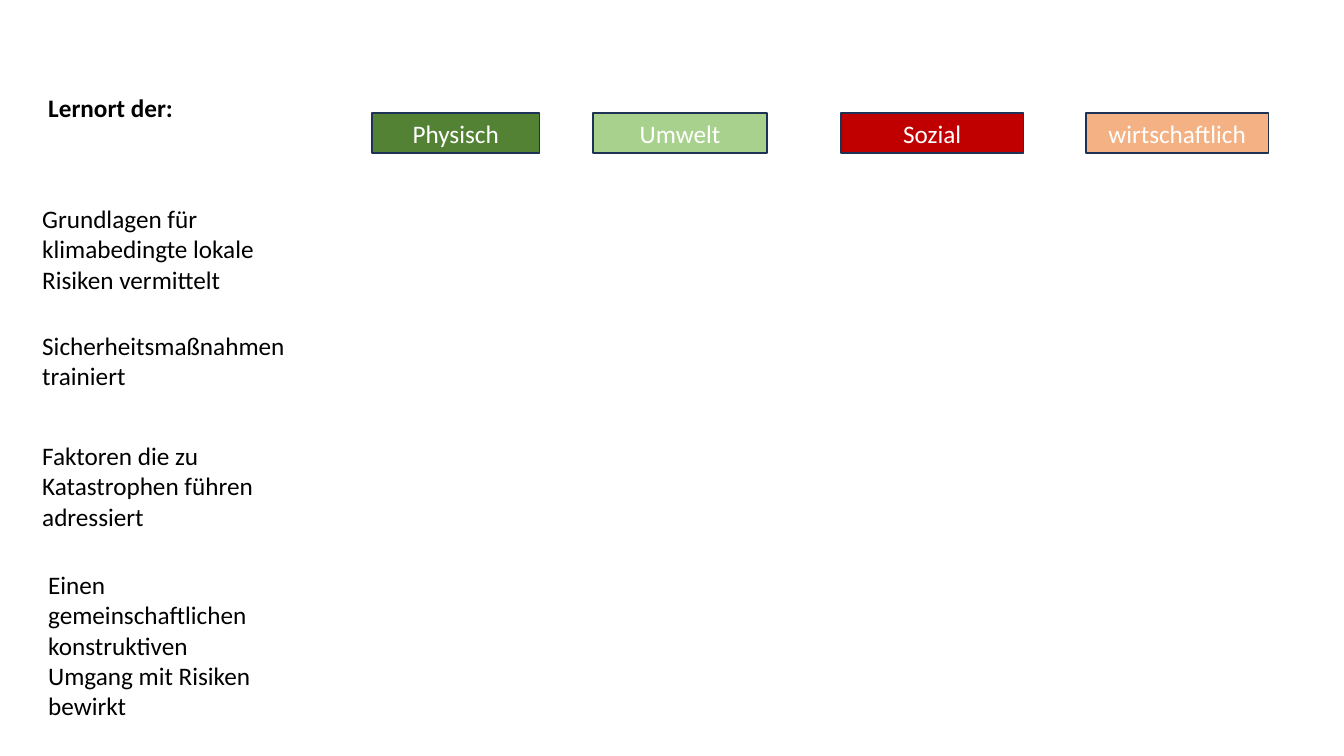
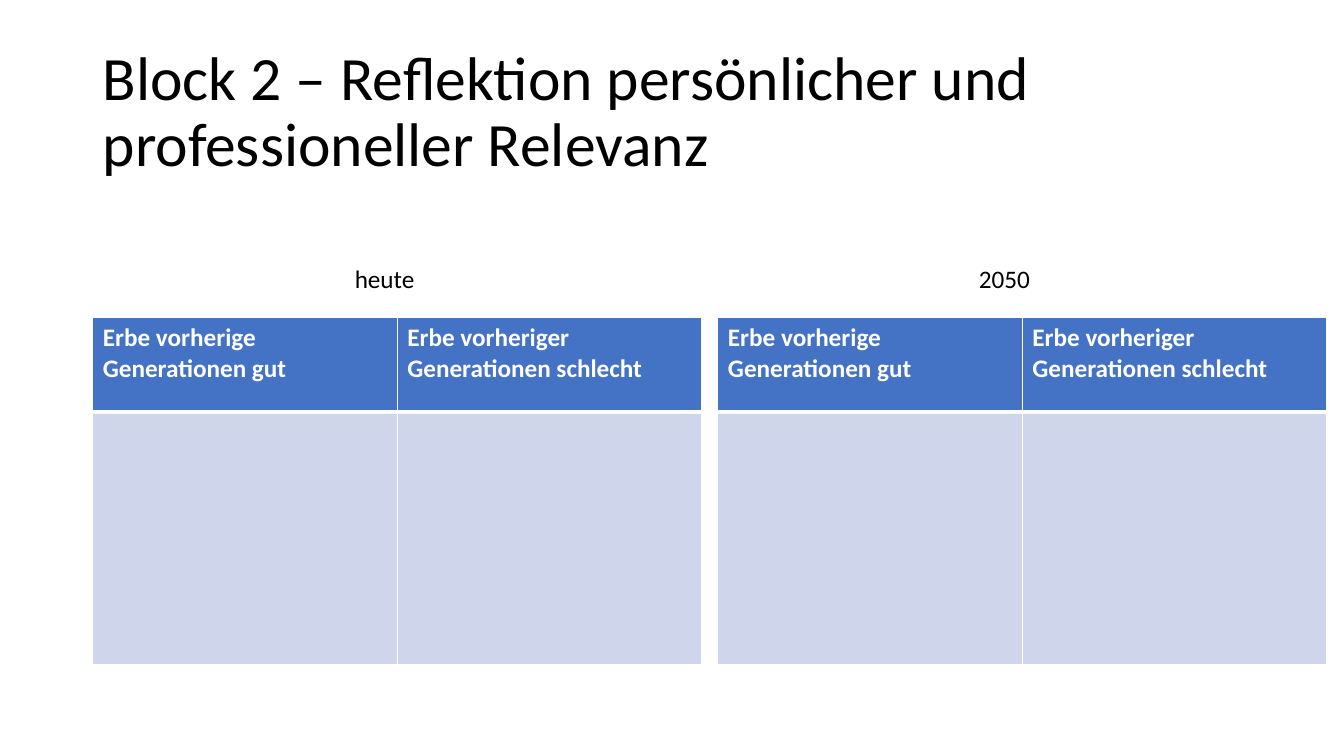
from pptx import Presentation
from pptx.dml.color import RGBColor
from pptx.enum import shapes, text
from pptx.oxml import parse_xml
from pptx.oxml.ns import nsdecls
from pptx.util import Inches, Pt

# Shared look
FONT = "Calibri"
BODY_SIZE = 18
COLOURS = {
    "black": "000000", "white": "FFFFFF", "outline": "1E3256",
    "physical": "548235", "environment": "A9D18E",
    "social": "C00000", "economic": "F4B183",
    "header": "4472C4", "body": "CFD5EA",
}

# Slide 1: risk dimensions (text, colour, left, width)
DIMENSIONS = [
    ("Physisch", "physical", 3.69, 1.66),
    ("Umwelt", "environment", 5.88, 1.73),
    ("Sozial", "social", 8.34, 1.81),
    ("wirtschaftlich", "economic", 10.77, 1.81),
]
DIMENSION_TOP, DIMENSION_HEIGHT = 1.12, 0.4

# Text, box (left, top, width, height), bold
CRITERIA = [
    ("Lernort der:", (0.38, 0.87, 2.36, 0.4), True),
    ("Grundlagen für klimabedingte lokale Risiken vermittelt",
     (0.32, 1.97, 2.47, 1.01), False),
    ("Sicherheitsmaßnahmen trainiert", (0.32, 3.23, 2.69, 0.71), False),
    ("Faktoren die zu Katastrophen führen adressiert",
     (0.32, 4.32, 2.58, 1.01), False),
    ("Einen gemeinschaftlichen konstruktiven Umgang mit Risiken bewirkt",
     (0.38, 5.6, 2.26, 1.62), False),
]

# Slide 2: one table per period (label, label left, table left)
TITLE = "Block 2 – Reflektion persönlicher und professioneller Relevanz"
PERIODS = [("heute", 3.42, 0.92), ("2050", 9.61, 7.12)]
HEADINGS = ["Erbe vorherige Generationen gut",
            "Erbe vorheriger Generationen schlecht"]
LABEL_TOP, LABEL_WIDTH, LABEL_HEIGHT = 2.56, 2.81, 0.4
TABLE_TOP, COLUMN_WIDTH = 3.15, 3.02
ROW_HEIGHTS = [0.94, 2.5]


def colour(name):
    return RGBColor.from_string(COLOURS[name])


def write(frame, content, size=BODY_SIZE, ink="black", bold=False,
          align=text.PP_ALIGN.LEFT):
    frame.text = content
    para = frame.paragraphs[0]
    para.alignment = align
    for span in para.runs:
        span.font.name = FONT
        span.font.size = Pt(size)
        span.font.bold = bold
        span.font.color.rgb = colour(ink)


def add_text(page, content, place, bold=False):
    box = page.shapes.add_textbox(*map(Inches, place))
    box.text_frame.word_wrap = True
    box.text_frame.auto_size = text.MSO_AUTO_SIZE.SHAPE_TO_FIT_TEXT
    write(box.text_frame, content, bold=bold)


def add_dimension(page, content, fill, left, width):
    box = page.shapes.add_shape(
        shapes.MSO_SHAPE.RECTANGLE, Inches(left), Inches(DIMENSION_TOP),
        Inches(width), Inches(DIMENSION_HEIGHT))
    box.shadow.inherit = False
    box.fill.solid()
    box.fill.fore_color.rgb = colour(fill)
    box.line.color.rgb = colour("outline")
    box.line.width = Pt(1)
    box.text_frame.vertical_anchor = text.MSO_ANCHOR.MIDDLE
    write(box.text_frame, content, ink="white", align=text.PP_ALIGN.CENTER)


def set_borders(cell, widths):
    """Draw white borders; they precede the fill in the cell's XML."""
    properties = cell._tc.get_or_add_tcPr()
    for index, (side, width) in enumerate(widths.items()):
        properties.insert(index, parse_xml(
            f'<a:ln{side} {nsdecls("a")} w="{Pt(width)}"><a:solidFill>'
            f'<a:srgbClr val="{COLOURS["white"]}"/>'
            f'</a:solidFill></a:ln{side}>'))


def add_legacy_table(page, left):
    table = page.shapes.add_table(
        len(ROW_HEIGHTS), len(HEADINGS), Inches(left), Inches(TABLE_TOP),
        Inches(COLUMN_WIDTH * len(HEADINGS)), Inches(sum(ROW_HEIGHTS))).table
    for row, height in zip(table.rows, ROW_HEIGHTS):
        row.height = Inches(height)
    for index, heading in enumerate(HEADINGS):
        table.columns[index].width = Inches(COLUMN_WIDTH)
        header, body = table.cell(0, index), table.cell(1, index)
        write(header.text_frame, heading, ink="white", bold=True)
        for cell, fill, top, bottom in ((header, "header", 1, 3),
                                        (body, "body", 3, 1)):
            cell.fill.solid()
            cell.fill.fore_color.rgb = colour(fill)
            set_borders(cell, {"L": 1, "R": 1, "T": top, "B": bottom})


def build_criteria(deck):
    page = deck.slides.add_slide(deck.slide_layouts[6])
    for dimension in DIMENSIONS:
        add_dimension(page, *dimension)
    for criterion in CRITERIA:
        add_text(page, *criterion)


def build_reflection(deck):
    page = deck.slides.add_slide(deck.slide_layouts[5])
    title = page.shapes.title
    title.left, title.top = Inches(0.92), Inches(0.4)
    title.width, title.height = Inches(11.5), Inches(1.45)
    title.text_frame.vertical_anchor = text.MSO_ANCHOR.MIDDLE
    write(title.text_frame, TITLE, size=44)
    title.text_frame.paragraphs[0].line_spacing = 0.9
    for label, label_left, table_left in PERIODS:
        add_legacy_table(page, table_left)
        add_text(page, label,
                 (label_left, LABEL_TOP, LABEL_WIDTH, LABEL_HEIGHT))


def main():
    deck = Presentation()
    deck.slide_width, deck.slide_height = Inches(13.33), Inches(7.5)
    build_criteria(deck)
    build_reflection(deck)
    deck.save("out.pptx")


if __name__ == "__main__":
    main()
